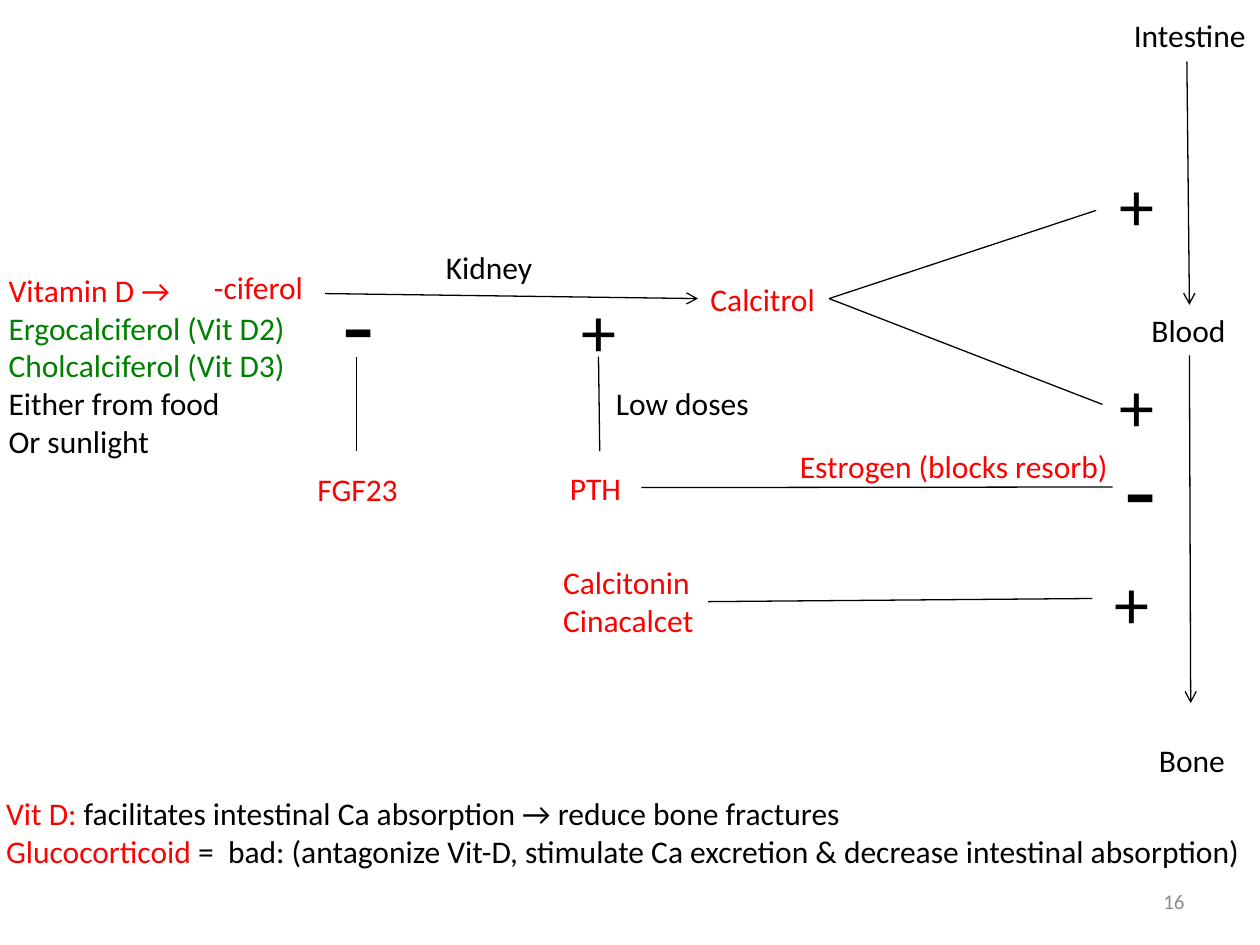
from lxml import etree
from pptx import Presentation
from pptx.dml.color import RGBColor
from pptx.enum.shapes import MSO_CONNECTOR
from pptx.enum.text import MSO_ANCHOR, MSO_AUTO_SIZE, PP_ALIGN
from pptx.oxml.ns import qn
from pptx.util import Inches, Pt

STRAIGHT = MSO_CONNECTOR.STRAIGHT
MIDDLE = MSO_ANCHOR.MIDDLE
GROW = MSO_AUTO_SIZE.SHAPE_TO_FIT_TEXT
CENTER, RIGHT = PP_ALIGN.CENTER, PP_ALIGN.RIGHT
TOP_SIDE, LEFT_SIDE, BOTTOM_SIDE, RIGHT_SIDE = range(4)

BLACK, RED, GREEN, GRAY = "000000", "FF0000", "008000", "8C8C8C"


def color(value):
    return RGBColor.from_string(value)


class Diagram:
    font = "Calibri"
    line_width = Pt(0.75)

    def __init__(self, slide):
        self.slide = slide

    def text(self, box, paragraphs, size=18, wrap=False, align=None):
        shape = self.slide.shapes.add_textbox(*map(Inches, box))
        frame = shape.text_frame
        frame.word_wrap = wrap
        frame.auto_size = GROW
        for index, runs in enumerate(paragraphs):
            paragraph = frame.add_paragraph() if index else frame.paragraphs[0]
            paragraph.alignment = align
            for words, run_color in runs:
                run = paragraph.add_run()
                run.text = words
                run.font.name = self.font
                run.font.size = Pt(size)
                run.font.color.rgb = color(run_color)
        return shape

    def label(self, left, top, width, words, text_color=BLACK, align=None):
        return self.text((left, top, width, 0.4), [[(words, text_color)]], align=align)

    def plus(self, left, top):
        return self.text((left, top, 0.48, 0.77), [[("+", BLACK)]], size=40)

    def minus(self, left, top):
        return self.text((left, top, 0.46, 1.11), [[("-", BLACK)]], size=60)

    def line(self, start, end, begin=None, finish=None, arrow=False):
        connector = self.slide.shapes.add_connector(
            STRAIGHT, *map(Inches, (*start, *end)))
        connector.line.color.rgb = color(BLACK)
        connector.line.width = self.line_width
        if begin:
            connector.begin_connect(*begin)
        if finish:
            connector.end_connect(*finish)
        if arrow:
            etree.SubElement(connector.line._get_or_add_ln(),
                             qn("a:tailEnd"), type="arrow")
        etree.SubElement(connector._element.spPr, qn("a:effectLst"))
        return connector


def main():
    presentation = Presentation()
    presentation.slide_width = Inches(10)
    presentation.slide_height = Inches(7.5)
    slide = presentation.slides.add_slide(presentation.slide_layouts[6])
    diagram = Diagram(slide)

    diagram.text((-0.03, 2.1, 2.43, 1.62), [
        [("Vitamin D →", RED)],
        [("Ergocalciferol (Vit D2)", GREEN)],
        [("Cholcalciferol (Vit D3)", GREEN)],
        [("Either from food", BLACK)],
        [("Or sunlight", BLACK)],
    ])
    diagram.label(1.6, 2.08, 0.93, "-ciferol", RED)
    diagram.label(3.44, 1.92, 0.9, "Kidney")
    calcitrol = diagram.label(5.54, 2.17, 1.04, "Calcitrol", RED)
    diagram.label(8.9, 0.08, 1.1, "Intestine")
    blood = diagram.label(9.04, 2.42, 0.8, "Blood")
    diagram.label(9.1, 5.83, 0.73, "Bone")
    pth = diagram.label(4.42, 3.67, 0.67, "PTH ", RED, CENTER)
    diagram.label(2.42, 3.68, 0.85, "FGF23", RED)
    diagram.label(4.79, 3, 1.27, "Low doses")
    diagram.label(6.25, 3.5, 2.67, "Estrogen (blocks resorb)", RED)
    calcitonin = diagram.text((4.37, 4.42, 1.25, 0.71), [
        [("Calcitonin", RED)],
        [("Cinacalcet", RED)],
    ])

    for left, top in ((8.79, 1.23), (8.79, 2.83), (8.75, 4.39), (4.52, 2.23)):
        diagram.plus(left, top)
    diagram.minus(2.62, 2)
    bone_minus = diagram.minus(8.83, 3.31)

    diagram.line((2.58, 2.33), (5.54, 2.37), finish=(calcitrol, LEFT_SIDE), arrow=True)
    diagram.line((9.42, 0.49), (9.44, 2.42), finish=(blood, TOP_SIDE), arrow=True)
    diagram.line((9.44, 2.82), (9.45, 5.58), begin=(blood, BOTTOM_SIDE), arrow=True)
    for end in ((8.7, 1.67), (8.75, 3.21)):
        diagram.line((6.58, 2.37), end, begin=(calcitrol, RIGHT_SIDE))
    diagram.line((5.09, 3.87), (8.83, 3.86),
                 begin=(pth, RIGHT_SIDE), finish=(bone_minus, LEFT_SIDE))
    diagram.line((5.62, 4.77), (8.67, 4.75), begin=(calcitonin, RIGHT_SIDE))
    diagram.line((4.76, 3.58), (4.75, 2.83))
    diagram.line((2.83, 3.58), (2.83, 2.83))

    diagram.text((-0.05, 6.25, 10.3, 0.71), [
        [("Vit D: ", RED),
         ("facilitates intestinal Ca absorption → reduce bone fractures", BLACK)],
        [("Glucocorticoid", RED),
         (" =  bad: (antagonize Vit-D, stimulate Ca excretion & decrease "
          "intestinal absorption)", BLACK)],
    ], wrap=True)
    number = diagram.text((7.17, 6.95, 2.33, 0.4), [[("16", GRAY)]],
                          size=12, wrap=True, align=RIGHT)
    number.text_frame.auto_size = MSO_AUTO_SIZE.NONE
    number.text_frame.vertical_anchor = MIDDLE

    presentation.save("out.pptx")


if __name__ == "__main__":
    main()
